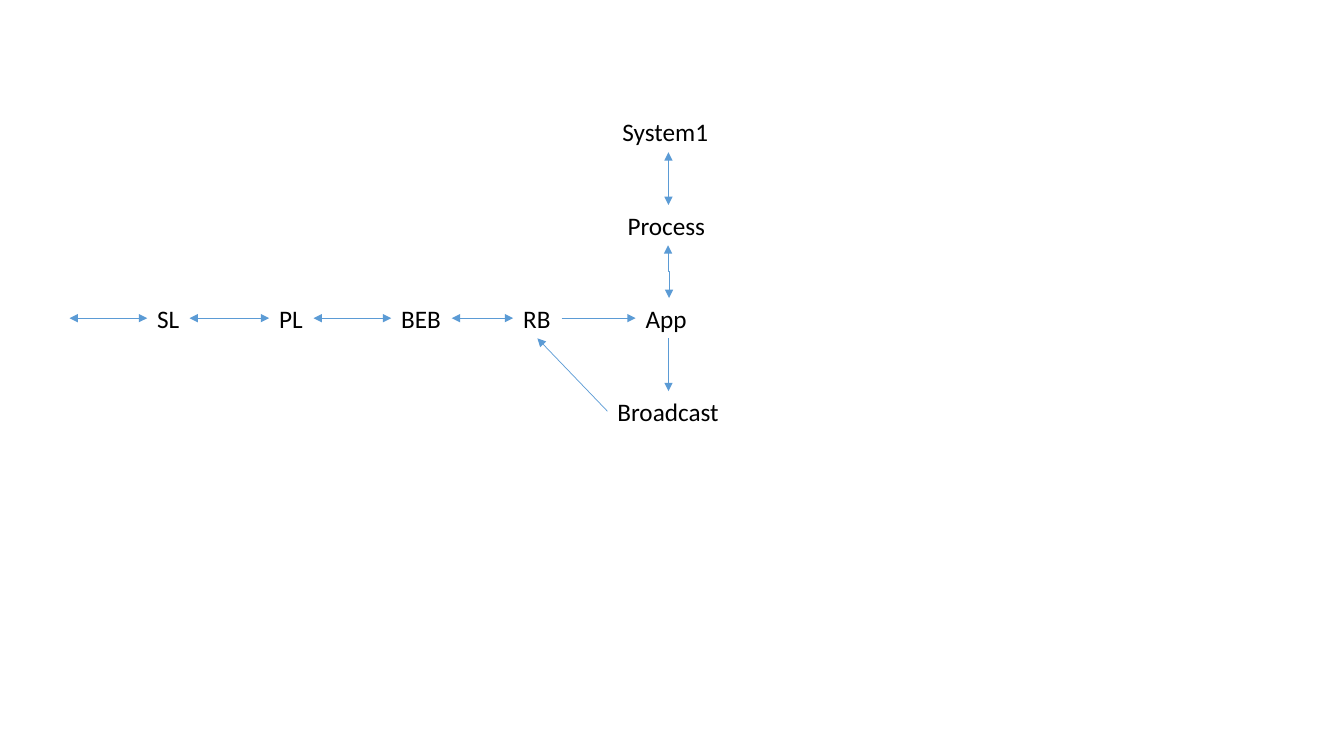
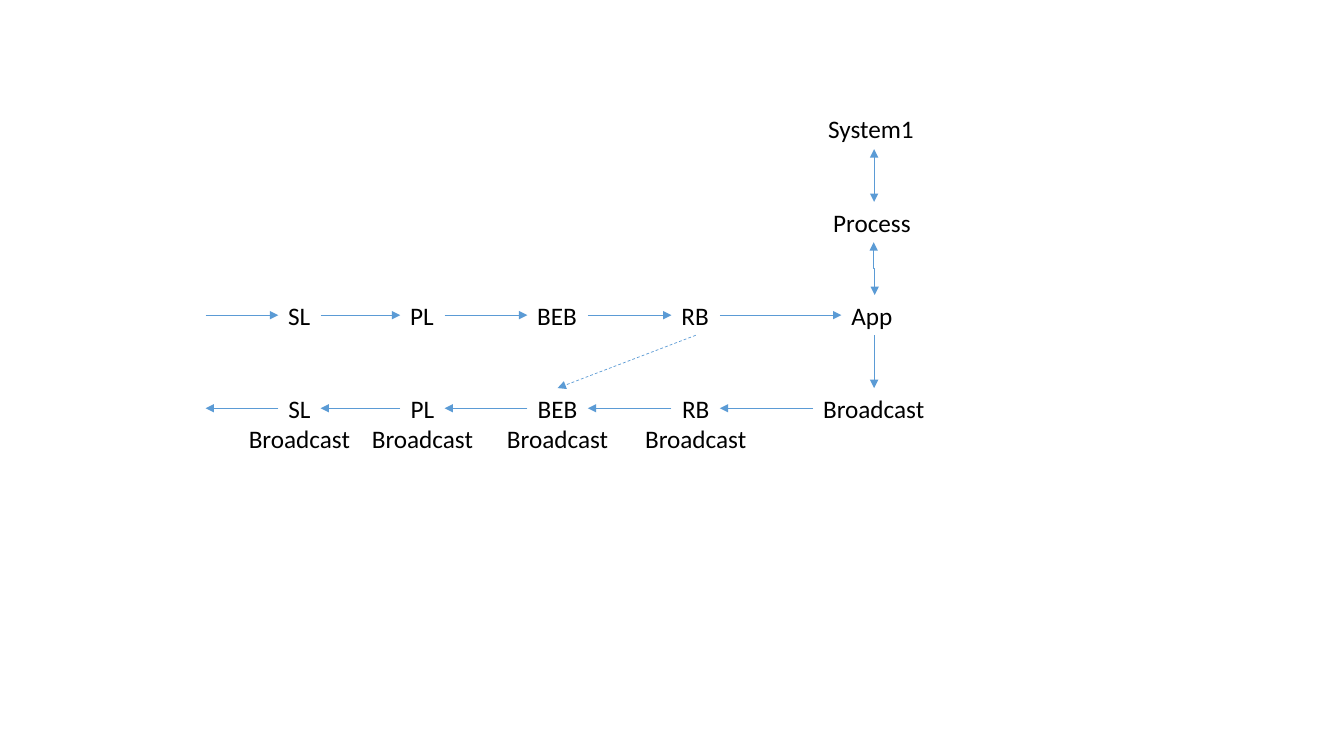
from pptx import Presentation
from pptx.dml.color import RGBColor
from pptx.enum.dml import MSO_LINE
from pptx.enum.shapes import MSO_CONNECTOR
from pptx.enum.text import MSO_AUTO_SIZE, PP_ALIGN
from pptx.oxml.ns import qn
from pptx.util import Inches, Pt
from lxml import etree

STRAIGHT, ELBOW = MSO_CONNECTOR.STRAIGHT, MSO_CONNECTOR.ELBOW
LEFT, CENTER = PP_ALIGN.LEFT, PP_ALIGN.CENTER
FIT = MSO_AUTO_SIZE.SHAPE_TO_FIT_TEXT
DASH = MSO_LINE.DASH

BLACK = RGBColor(0x00, 0x00, 0x00)
BLUE = RGBColor(0x5B, 0x9B, 0xD5)
FONT = "Calibri"

ROW_PITCH = 2.77 / 3
LABEL_H = 0.4
PAIR_H = 0.71
PAIR_W = 1.22
JOG = 0.01
ONE_WAY, TWO_WAY = ("tailEnd",), ("headEnd", "tailEnd")

SPINE = {"System1": 1.11, "Process": 1.01, "App": 0.65, "Broadcast": 1.21}
LAYERS = {"SL": 0.42, "PL": 0.44, "BEB": 0.6, "RB": 0.48}


def add_label(slide, lines, left, top, width, height=LABEL_H, align=LEFT):
    label = slide.shapes.add_textbox(*map(Inches, (left, top, width, height)))
    frame = label.text_frame
    frame.word_wrap = False
    frame.auto_size = FIT
    frame.text = "\n".join(lines)
    for paragraph in frame.paragraphs:
        paragraph.alignment = align
        paragraph.font.name = FONT
        paragraph.font.size = Pt(18)
        paragraph.font.color.rgb = BLACK


def add_arrow(slide, start, end, ends=ONE_WAY, dash=None, kind=STRAIGHT):
    arrow = slide.shapes.add_connector(kind, *map(Inches, start + end))
    arrow.line.color.rgb = BLUE
    arrow.line.width = Pt(0.5)
    if dash:
        arrow.line.dash_style = dash
    properties = arrow._element.spPr
    outline = properties.find(qn("a:ln"))
    for tip in ends:
        etree.SubElement(outline, qn("a:" + tip)).set("type", "triangle")
    etree.SubElement(properties, qn("a:effectLst"))
    return arrow


def add_vertical_elbow(slide, x, top, bottom):
    middle, half = (top + bottom) / 2, (bottom - top) / 2
    elbow = add_arrow(slide, (x + half, middle - JOG / 2),
                      (x - half, middle + JOG / 2), TWO_WAY, kind=ELBOW)
    elbow._element.spPr.find(qn("a:xfrm")).set("rot", "16200000")


def add_spine(slide, center, top):
    tops = [top + row * ROW_PITCH for row in range(len(SPINE))]
    for (name, width), y in zip(SPINE.items(), tops):
        add_label(slide, [name], center - width / 2, y, width)
    system, process, app, broadcast = tops
    add_arrow(slide, (center, process), (center, system + LABEL_H), TWO_WAY)
    add_vertical_elbow(slide, center, process + LABEL_H, app)
    add_arrow(slide, (center, app + LABEL_H), (center, broadcast))
    return app, broadcast


def add_layers(slide, lefts, top, entry, app_left, ends):
    rights = [left + width for left, width in zip(lefts, LAYERS.values())]
    gaps = list(zip([entry] + rights, lefts + [app_left]))
    for (name, width), left in zip(LAYERS.items(), lefts):
        add_label(slide, [name], left, top, width)
    y = top + LABEL_H / 2
    for start, end in gaps[:-1]:
        add_arrow(slide, (start, y), (end, y), ends)
    add_arrow(slide, (rights[-1], y), (app_left, y))
    return gaps, [(a + b) / 2 for a, b in zip(lefts, rights)]


def add_broadcast_layers(slide, centers, top, gaps, broadcast_left):
    for name, center in zip(LAYERS, centers):
        add_label(slide, [name, "Broadcast"], center - PAIR_W / 2, top,
                  PAIR_W, PAIR_H, CENTER)
    y = top + LABEL_H / 2
    for end, start in gaps:
        add_arrow(slide, (min(start, broadcast_left), y), (end, y))


def build_shared_stack(slide):
    center = 6.63
    app, broadcast = add_spine(slide, center, 1.11)
    lefts = [1.46 + column * 1.21 for column in range(len(LAYERS))]
    _, centers = add_layers(slide, lefts, app, 0.69,
                            center - SPINE["App"] / 2, TWO_WAY)
    add_arrow(slide, (center - SPINE["Broadcast"] / 2, broadcast + LABEL_H / 2),
              (centers[-1], app + LABEL_H))


def build_split_stack(slide):
    center = 8.67
    app, broadcast = add_spine(slide, center, 1.08)
    gaps, centers = add_layers(slide, [2.76, 3.97, 5.23, 6.66], app, 2.04,
                               center - SPINE["App"] / 2, ONE_WAY)
    add_broadcast_layers(slide, centers, broadcast, gaps,
                         center - SPINE["Broadcast"] / 2)
    add_arrow(slide, (centers[3], app + LABEL_H), (centers[2], broadcast),
              dash=DASH)


deck = Presentation()
deck.slide_width, deck.slide_height = Inches(13.33), Inches(7.5)
for build in (build_shared_stack, build_split_stack):
    build(deck.slides.add_slide(deck.slide_layouts[6]))
deck.save("out.pptx")
